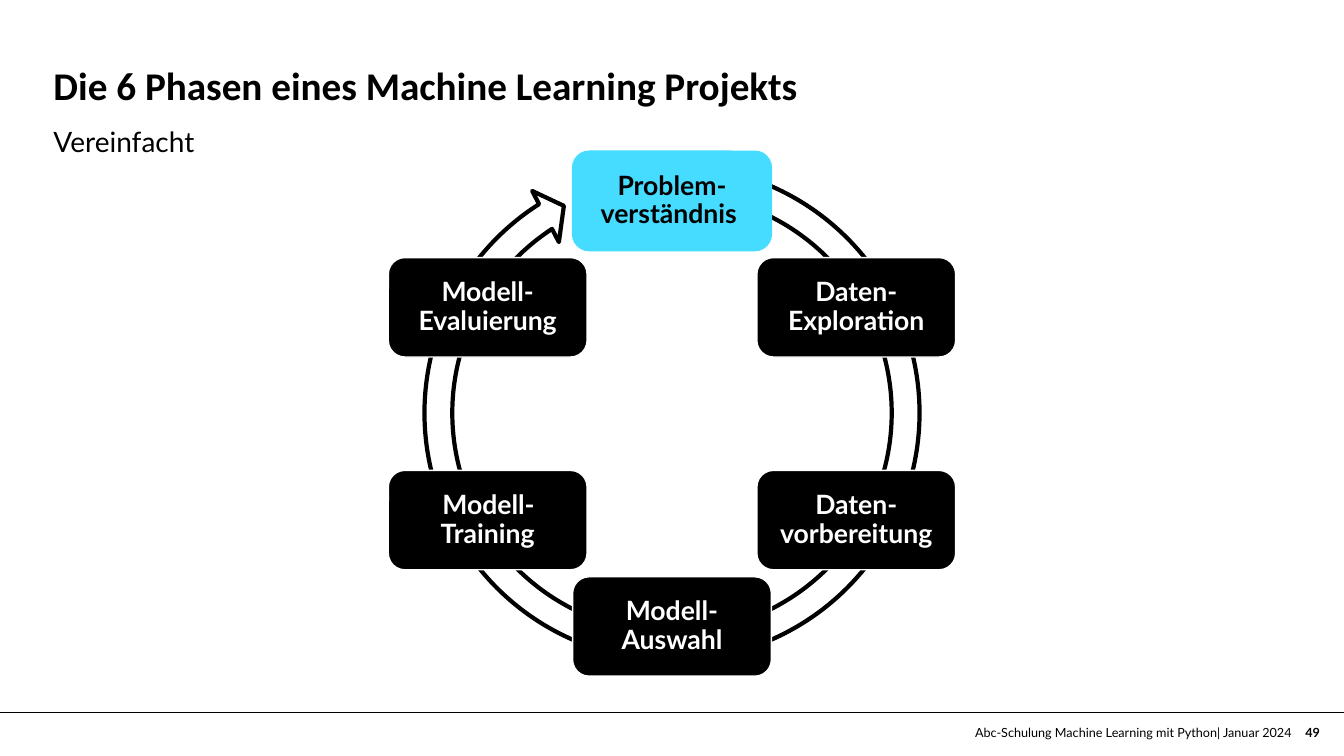
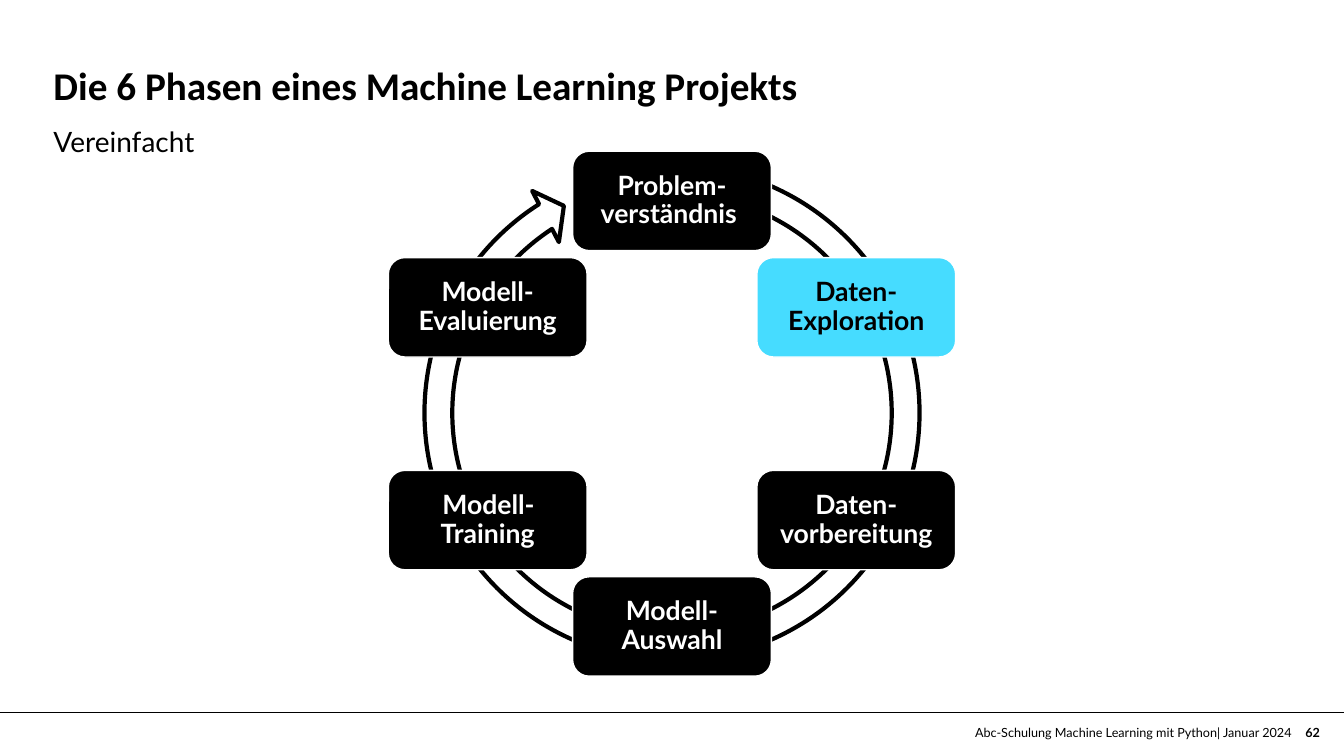
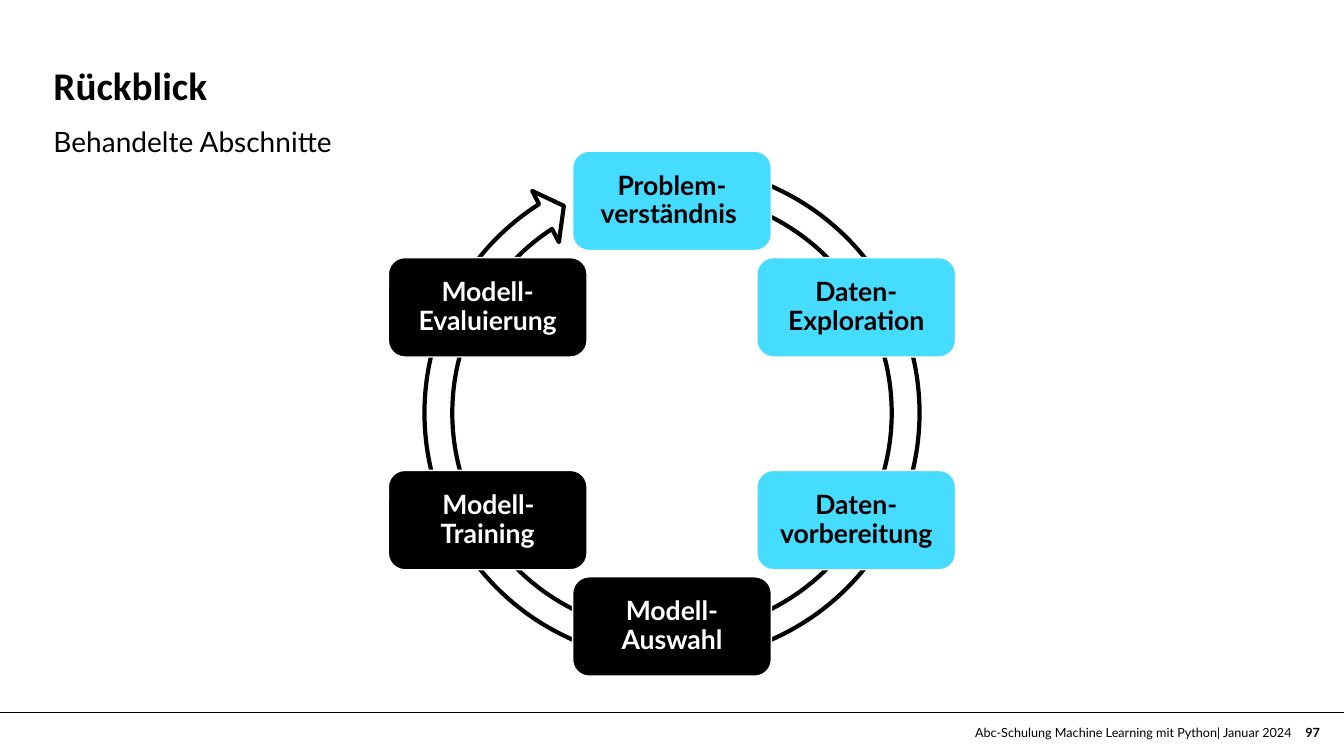
from math import cos, radians, sin

from lxml.etree import SubElement
from pptx import Presentation
from pptx.dml.color import RGBColor
from pptx.enum.shapes import MSO_CONNECTOR, MSO_SHAPE
from pptx.enum.text import MSO_ANCHOR, MSO_AUTO_SIZE, PP_ALIGN
from pptx.oxml.ns import qn
from pptx.util import Pt

BLACK = RGBColor(0x00, 0x00, 0x00)
WHITE = RGBColor(0xFF, 0xFF, 0xFF)
CYAN = RGBColor(0x46, 0xDC, 0xFF)

PHASES = ["Problem-verständnis ", "Daten-Exploration", "Daten-vorbereitung",
          "Modell-Auswahl", "Modell-Training", "Modell-Evaluierung"]
CYCLE = "Die 6 Phasen eines Machine Learning Projekts"
SLIDES = [
    {"page": "49", "title": CYCLE, "sub": "Vereinfacht", "lit": [0], "edge": CYAN},
    {"page": "62", "title": CYCLE, "sub": "Vereinfacht", "lit": [1], "edge": WHITE},
    {"page": "97", "title": "Rückblick", "sub": "Behandelte Abschnitte",
     "lit": [0, 1, 2], "edge": WHITE},
]
FOOTER = "Abc-Schulung Machine Learning mit Python| Januar 2024"

WIDTH, HEIGHT = 960, 540
LEFT, SPAN = 38.2, 884.2
RULE = 509
MID_X, MID_Y, RADIUS = 480, 295.5, 152
BOX_W, BOX_H = 142, 71
RING = 375
BEND = [0.053, 3.126, 142.339, 171.237, 0.055]

STYLES = {
    "title": {"name": "Calibri", "size": Pt(28), "bold": True},
    "sub": {"name": "Lato", "size": Pt(20), "bold": False},
    "phase": {"name": "Lato", "size": Pt(19), "bold": True},
    "foot": {"name": "Lato", "size": Pt(9), "bold": False},
    "page": {"name": "Lato", "size": Pt(9), "bold": True},
}


def place(shape, left, top, width, height):
    box = {"left": left, "top": top, "width": width, "height": height}
    for key, value in box.items():
        setattr(shape, key, Pt(value))


def write(shape, text, style, color=BLACK, align=PP_ALIGN.LEFT,
          anchor=MSO_ANCHOR.TOP, inset=0, spacing=1.0):
    frame = shape.text_frame
    frame.text = text
    form = {"word_wrap": True, "auto_size": MSO_AUTO_SIZE.NONE,
            "vertical_anchor": anchor}
    for side in ("left", "top", "right", "bottom"):
        form["margin_" + side] = Pt(inset)
    for key, value in form.items():
        setattr(frame, key, value)
    para = frame.paragraphs[0]
    para.alignment = align
    para.line_spacing = spacing
    font = para.runs[0].font
    for key, value in STYLES[style].items():
        setattr(font, key, value)
    font.color.rgb = color


def label(slide, box, text, style, **form):
    shape = slide.shapes.add_textbox(*map(Pt, box))
    write(shape, text, style, **form)


def block(slide, kind, box, fill, edge, weight):
    shape = slide.shapes.add_shape(kind, *map(Pt, box))
    shape.shadow.inherit = False
    shape.fill.solid()
    shape.fill.fore_color.rgb = fill
    shape.line.color.rgb = edge
    shape.line.width = Pt(weight)
    return shape


def frame_page(slide, data):
    rule = slide.shapes.add_connector(
        MSO_CONNECTOR.STRAIGHT, 0, Pt(RULE), Pt(WIDTH), Pt(RULE))
    rule.line.color.rgb = BLACK
    rule.line.width = Pt(1)
    SubElement(rule._element.spPr, qn("a:effectLst"))
    title = slide.shapes.title
    place(title, LEFT, 44, SPAN, 36)
    write(title, data["title"], "title")
    label(slide, (LEFT, 82, SPAN, 24.5), data["sub"], "sub", spacing=1.3)
    label(slide, (196.6, 517.7, 725.8, 11.5), FOOTER, "foot",
          align=PP_ALIGN.RIGHT, anchor=MSO_ANCHOR.MIDDLE)
    label(slide, (932.4, 517.7, 14, 10.8), data["page"], "page",
          anchor=MSO_ANCHOR.MIDDLE)


def draw_cycle(slide, lit, edge):
    ring = block(slide, MSO_SHAPE.CIRCULAR_ARROW,
                 (MID_X - RING / 2, MID_Y - RING / 2 - 0.5, RING, RING),
                 WHITE, BLACK, 3)
    for pos, value in enumerate(BEND):
        ring.adjustments[pos] = value
    for pos, phase in enumerate(PHASES):
        angle = radians(360 / len(PHASES) * pos)
        left = MID_X + RADIUS * sin(angle) - BOX_W / 2
        top = MID_Y - RADIUS * cos(angle) - BOX_H / 2
        on = pos in lit
        box = block(slide, MSO_SHAPE.ROUNDED_RECTANGLE, (left, top, BOX_W, BOX_H),
                    CYAN if on else BLACK, edge if on else WHITE, 1)
        write(box, phase, "phase", color=BLACK if on else WHITE,
              align=PP_ALIGN.CENTER, anchor=MSO_ANCHOR.MIDDLE,
              inset=5.7, spacing=0.9)


def main():
    deck = Presentation()
    deck.slide_width, deck.slide_height = Pt(WIDTH), Pt(HEIGHT)
    for data in SLIDES:
        slide = deck.slides.add_slide(deck.slide_layouts[5])
        frame_page(slide, data)
        draw_cycle(slide, data["lit"], data["edge"])
    deck.save("out.pptx")


if __name__ == "__main__":
    main()
